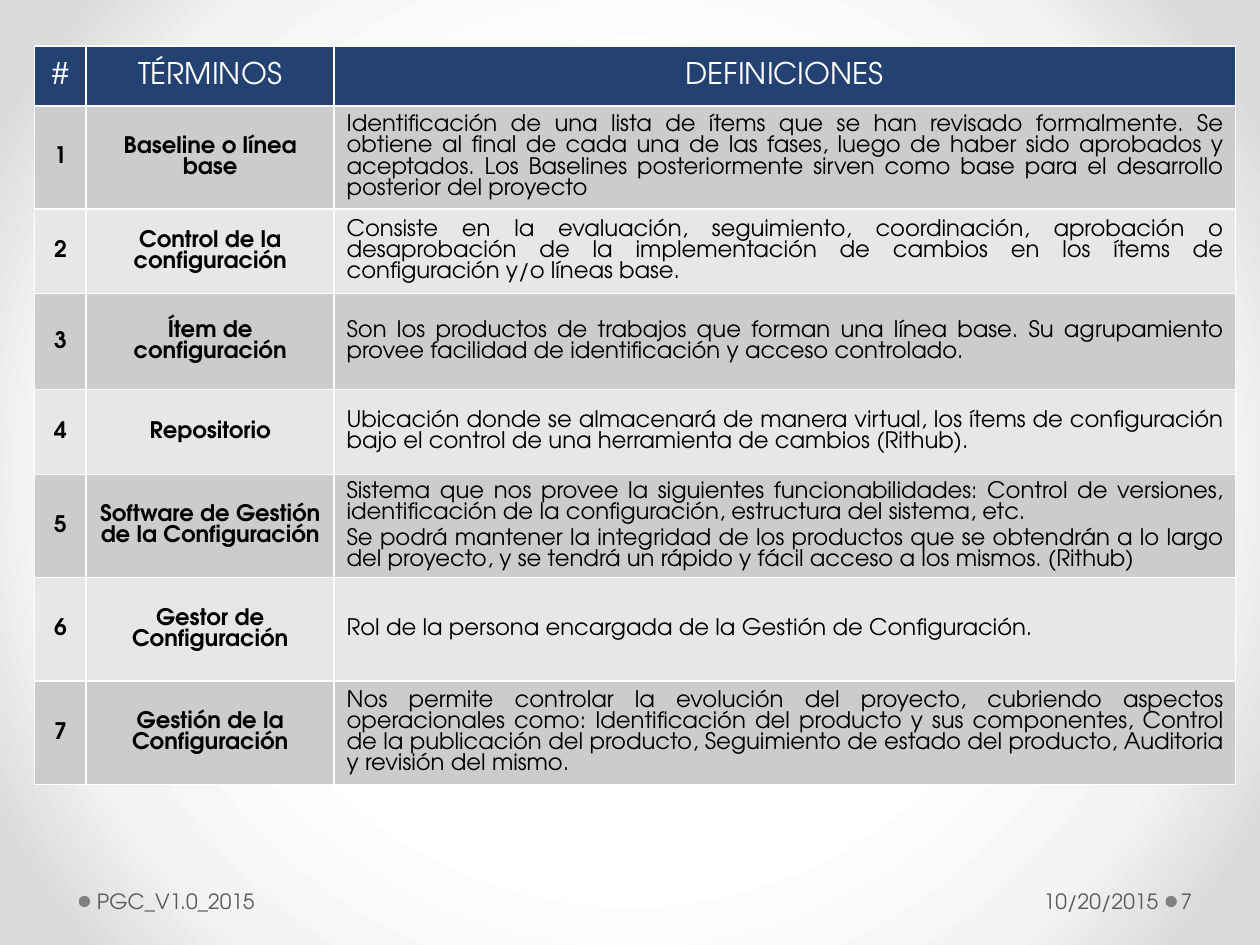
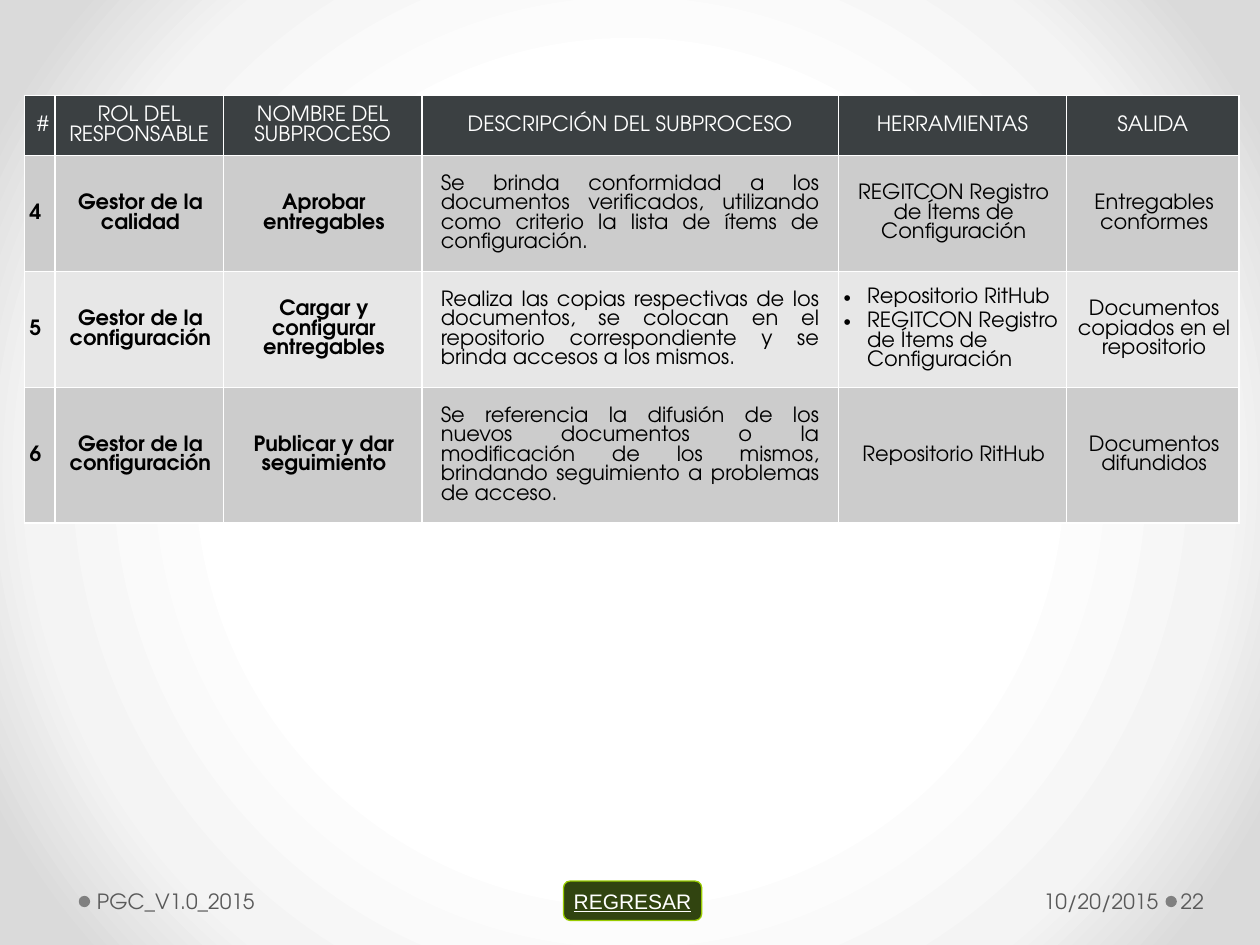
from dataclasses import dataclass

from pptx import Presentation
from pptx.dml.color import RGBColor
from pptx.enum.shapes import MSO_SHAPE as Shape
from pptx.enum.text import MSO_ANCHOR as Anchor, PP_ALIGN as Align
from pptx.oxml import parse_xml
from pptx.oxml.ns import nsdecls, qn
from pptx.util import Pt

FONT = "TeX Gyre Adventor"
LINE_RATIO = 0.93  # table line pitch relative to the text size
WHITE, BLACK = "FFFFFF", "000000"
NAVY, SLATE = "234271", "3B4042"
BANDS = ("CCCCCC", "E7E7E7")
FOOTER_GREY, DOT_GREY = "595959", "808080"
BUTTON_GREEN, BUTTON_EDGE = "314410", "99CC00"
BACKGROUND_STOPS = ((50, "FFFFFF"), (76, "F4F4F4"), (92, "DADADA"))

# Cell insets: left, top, right, bottom
NORMAL = (7.2, 3.6, 7.2, 3.6)
TIGHT = (3, 3.6, 1.5, 3.6)
ROOMY = (10.8, 10.8, 10.8, 10.8)

FOOTER_BOX = (45, 500.4, 667.5, 28.8)
BUTTON_BOX = (322, 503.5, 79, 22.5)


@dataclass
class Column:
    heading: str
    width: float
    align: Align = Align.CENTER
    bold: bool = False
    insets: tuple = NORMAL
    bulleted: bool = False  # several paragraphs in one cell become a list


TERM_COLUMNS = [
    Column("#", 29.4, bold=True),
    Column("TÉRMINOS", 141.7, bold=True),
    Column("DEFINICIONES", 515, Align.JUSTIFY),
]
TERM_HEIGHTS = [34.3, 58.9, 48.5, 54.8, 48.5, 58.9, 59.3, 59]
TERMS = [
    ("1", "Baseline o línea base",
     "Identificación de una lista de ítems que se han revisado formalmente. Se obtiene al "
     "final de cada una de las fases, luego de haber sido aprobados y aceptados. Los "
     "Baselines posteriormente sirven como base para el desarrollo posterior del proyecto"),
    ("2", "Control de la configuración",
     "Consiste en la evaluación, seguimiento, coordinación, aprobación o desaprobación de "
     "la implementación de cambios en los ítems de configuración y/o líneas base."),
    ("3", "Ítem de configuración",
     "Son los productos de trabajos que forman una línea base. Su agrupamiento provee "
     "facilidad de identificación y acceso controlado."),
    ("4", "Repositorio",
     "Ubicación donde se almacenará de manera virtual, los ítems de configuración bajo el "
     "control de una herramienta de cambios (Rithub)."),
    ("5", "Software de Gestión de la Configuración",
     ["Sistema que nos provee la siguientes funcionabilidades: Control de versiones, "
      "identificación de la configuración, estructura del sistema, etc.",
      "Se podrá mantener la integridad de los productos que se obtendrán a lo largo del "
      "proyecto, y se tendrá un rápido y fácil acceso a los mismos. (Rithub)"]),
    ("6", "Gestor de Configuración",
     "Rol de la persona encargada de la Gestión de Configuración."),
    ("7", "Gestión de la Configuración",
     "Nos permite controlar la evolución del proyecto, cubriendo aspectos operacionales "
     "como: Identificación del producto y sus componentes, Control de la publicación del "
     "producto, Seguimiento de estado del producto, Auditoria y revisión del mismo."),
]

PROCESS_COLUMNS = [
    Column("#", 17.3, Align.LEFT, True, TIGHT),
    Column("ROL DEL RESPONSABLE", 96.4, bold=True, insets=TIGHT),
    Column("NOMBRE DEL SUBPROCESO", 113.4, bold=True, insets=TIGHT),
    Column("DESCRIPCIÓN DEL SUBPROCESO", 238, Align.JUSTIFY, insets=ROOMY),
    Column("HERRAMIENTAS", 130.4, insets=TIGHT, bulleted=True),
    Column("SALIDA", 98.6, insets=TIGHT),
]
PROCESS_HEIGHTS = [34.3, 66.3, 66.3, 77.4]
REGISTER = "REGITCON Registro de Ítems de Configuración"
REPOSITORY = "Repositorio RitHub"
PROCESSES = [
    ("4", "Gestor de la calidad", "Aprobar entregables",
     "Se brinda conformidad a los documentos verificados, utilizando como criterio la "
     "lista de ítems de configuración.",
     REGISTER, "Entregables conformes"),
    ("5", "Gestor de la configuración", "Cargar y configurar entregables",
     "Realiza las copias respectivas de los documentos, se colocan en el repositorio "
     "correspondiente y se brinda accesos a los mismos.",
     [REPOSITORY, REGISTER], "Documentos copiados en el repositorio"),
    ("6", "Gestor de la configuración", "Publicar y dar seguimiento",
     "Se referencia la difusión de los nuevos documentos o la modificación de los mismos, "
     "brindando seguimiento a problemas de acceso.",
     REPOSITORY, "Documentos difundidos"),
]


def rgb(value):
    return RGBColor.from_string(value)


def paint(fill, value):
    fill.solid()
    fill.fore_color.rgb = rgb(value)


def set_insets(target, insets):
    (target.margin_left, target.margin_top,
     target.margin_right, target.margin_bottom) = map(Pt, insets)


def write(paragraph, text, size, color, align=Align.LEFT, bold=False, font=FONT):
    paragraph.alignment = align
    run = paragraph.add_run()
    run.text = text
    run.font.name, run.font.size, run.font.bold = font, Pt(size), bold
    run.font.color.rgb = rgb(color)
    return run


def add_bullet(paragraph, indent=13.5):
    properties = paragraph._p.get_or_add_pPr()
    properties.set("marL", str(Pt(indent)))
    properties.set("indent", str(-Pt(indent)))
    for xml in (f'<a:buFont {nsdecls("a")} typeface="Arial"/>',
                f'<a:buChar {nsdecls("a")} char="•"/>'):
        properties.append(parse_xml(xml))


def add_borders(cell, color=WHITE, width=1):
    properties = cell._tc.get_or_add_tcPr()
    for index, side in enumerate("LRTB"):  # borders precede the fill
        properties.insert(index, parse_xml(
            f'<a:ln{side} {nsdecls("a")} w="{Pt(width)}"><a:solidFill>'
            f'<a:srgbClr val="{color}"/></a:solidFill></a:ln{side}>'))


def fill_cell(cell, content, column, size, color, fill, is_header):
    paint(cell.fill, fill)
    add_borders(cell)
    cell.vertical_anchor = Anchor.MIDDLE
    set_insets(cell, NORMAL if is_header else column.insets)
    texts = content if isinstance(content, list) else [content]
    listed = column.bulleted and len(texts) > 1
    align = Align.CENTER if is_header else Align.LEFT if listed else column.align
    frame = cell.text_frame
    for index, text in enumerate(texts):
        paragraph = frame.add_paragraph() if index else frame.paragraphs[0]
        paragraph.line_spacing = Pt(LINE_RATIO * size)
        if index:
            paragraph.space_before = Pt(0.2 * size)
        write(paragraph, text, size, color, align, column.bold and not is_header)
        if listed:
            add_bullet(paragraph)


def add_grid(slide, left, top, columns, heights, records, header_fill, header_size, size):
    width = sum(column.width for column in columns)
    grid = slide.shapes.add_table(len(heights), len(columns), Pt(left), Pt(top),
                                  Pt(width), Pt(sum(heights))).table
    for row, height in zip(grid.rows, heights):
        row.height = Pt(height)
    for index, column in enumerate(columns):
        grid.columns[index].width = Pt(column.width)
        fill_cell(grid.cell(0, index), column.heading, column, header_size, WHITE,
                  header_fill, True)
        for number, record in enumerate(records):
            fill_cell(grid.cell(number + 1, index), record[index], column, size, BLACK,
                      BANDS[number % 2], False)


def set_background(slide):
    slide.background.fill.solid()
    properties = slide.element.find(".//" + qn("p:bgPr"))
    stops = "".join(f'<a:gs pos="{place * 1000}"><a:srgbClr val="{color}"/></a:gs>'
                    for place, color in BACKGROUND_STOPS)
    properties.replace(properties[0], parse_xml(
        f'<a:gradFill {nsdecls("a")} rotWithShape="1"><a:gsLst>{stops}</a:gsLst>'
        '<a:path path="circle"><a:fillToRect l="50000" t="50000" r="50000" b="50000"/>'
        '</a:path></a:gradFill>'))


def add_footer(slide, box, page):
    left, top, width, height = box
    dot_size = 6.5
    page_left = left + width - 40
    for dot_left in (left, page_left - dot_size):
        dot = slide.shapes.add_shape(Shape.OVAL, Pt(dot_left), Pt(top + 11.5),
                                     Pt(dot_size), Pt(dot_size))
        dot.shadow.inherit = False
        paint(dot.fill, DOT_GREY)
        dot.line.fill.background()
    date_width = 164
    entries = (
        ("PGC_V1.0_2015", left + 6.8, 285, Align.LEFT, (3.6, 3.6, 7.2, 3.6)),
        ("10/20/2015", page_left - dot_size - date_width - 0.5, date_width, Align.RIGHT,
         (7.2, 3.6, 3.6, 3.6)),
        (str(page), page_left, 44, Align.LEFT, (2.2, 3.6, 3.6, 3.6)),
    )
    for text, entry_left, entry_width, align, insets in entries:
        frame = slide.shapes.add_textbox(Pt(entry_left), Pt(top), Pt(entry_width),
                                         Pt(height)).text_frame
        frame.word_wrap = True
        frame.vertical_anchor = Anchor.MIDDLE
        set_insets(frame, insets)
        write(frame.paragraphs[0], text, 12, FOOTER_GREY, align)


def add_return_button(slide, box):
    button = slide.shapes.add_shape(Shape.FLOWCHART_ALTERNATE_PROCESS, *map(Pt, box))
    button.shadow.inherit = False
    paint(button.fill, BUTTON_GREEN)
    button.line.color.rgb = rgb(BUTTON_EDGE)
    button.line.width = Pt(0.75)
    frame = button.text_frame
    frame.word_wrap = False
    frame.vertical_anchor = Anchor.MIDDLE
    label = write(frame.paragraphs[0], "REGRESAR", 12, WHITE, Align.CENTER, font="Arial")
    label.font.underline = True


def add_page(deck, page):
    slide = deck.slides.add_slide(deck.slide_layouts[6])
    set_background(slide)
    add_footer(slide, FOOTER_BOX, page)
    return slide


def main():
    deck = Presentation()
    deck.slide_width, deck.slide_height = Pt(720), Pt(540)

    glossary = add_page(deck, 7)
    add_grid(glossary, 19.8, 26.2, TERM_COLUMNS, TERM_HEIGHTS, TERMS, NAVY, 17, 13)

    subprocesses = add_page(deck, 22)
    add_grid(subprocesses, 14, 54.6, PROCESS_COLUMNS, PROCESS_HEIGHTS, PROCESSES,
             SLATE, 12, 12)
    add_return_button(subprocesses, BUTTON_BOX)

    deck.save("out.pptx")


if __name__ == "__main__":
    main()
